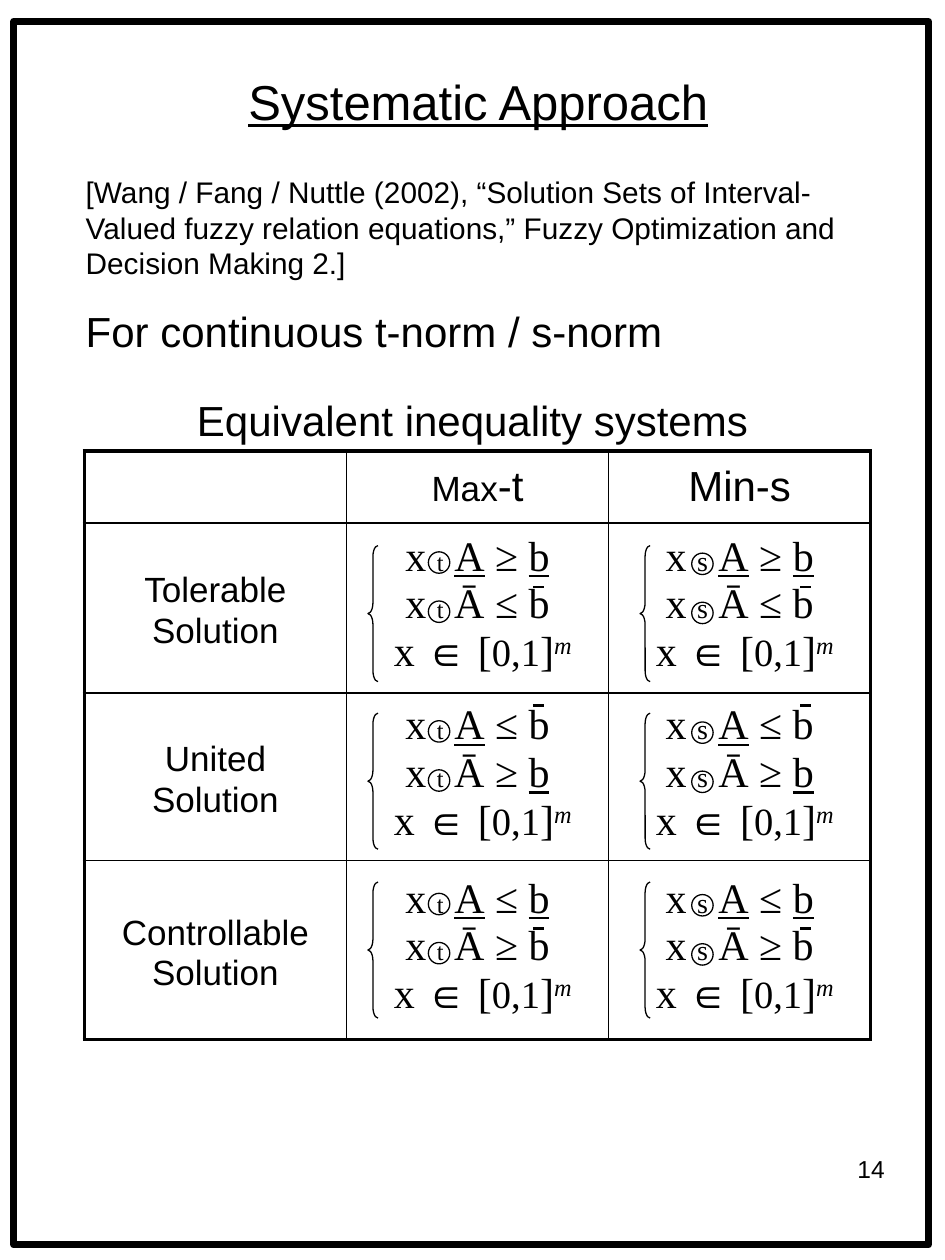
from lxml import etree
from pptx import Presentation
from pptx.dml.color import RGBColor
from pptx.enum.shapes import MSO_CONNECTOR, MSO_SHAPE
from pptx.enum.text import MSO_ANCHOR, PP_ALIGN
from pptx.oxml.ns import qn
from pptx.util import Inches, Pt

LEFT, CENTER, RIGHT = PP_ALIGN.LEFT, PP_ALIGN.CENTER, PP_ALIGN.RIGHT
TOP, MIDDLE = MSO_ANCHOR.TOP, MSO_ANCHOR.MIDDLE
RECTANGLE, OVAL, LEFT_BRACE = MSO_SHAPE.RECTANGLE, MSO_SHAPE.OVAL, MSO_SHAPE.LEFT_BRACE
STRAIGHT = MSO_CONNECTOR.STRAIGHT

COLORS = {"ink": "000000", "paper": "FFFFFF"}
SANS, SERIF = "Arial", "Times New Roman"
TABLE_LEFT, TABLE_TOP, COLUMN_WIDTH = 0.67, 3.58, 2.08
ROW_HEIGHTS = [0.57, 1.35, 1.33, 1.42]
THICK, THIN = 2.25, 1

SOLUTIONS = [
    {"name": "Tolerable", "relations": "≥≤", "lower_first": True,
     "brace": 4.33, "circle": 4.38, "bar": 4.66},
    {"name": "United", "relations": "≤≥", "lower_first": False,
     "brace": 5.66, "circle": 5.72, "bar": 5.6},
    {"name": "Controllable", "relations": "≤≥", "lower_first": True,
     "brace": 7.0, "circle": 7.09, "bar": 7.37},
]
NORMS = [
    {"symbol": "t", "size": 14, "brace": 2.92, "circle": 3.4, "bar": 4.23, "drop": 0},
    {"symbol": "s", "size": 16, "brace": 5.08, "circle": 5.49, "bar": 6.35, "drop": 0.01},
]


class SlideBuilder:
    """Holds the style and the current slide, and draws each kind of element."""

    def __init__(self, slide):
        self.slide = slide
        self.ink = RGBColor.from_string(COLORS["ink"])

    def fill_text(self, frame, paragraphs, font=SANS, **layout):
        for index, runs in enumerate(paragraphs):
            paragraph = frame.paragraphs[0] if index == 0 else frame.add_paragraph()
            for name, value in layout.items():
                setattr(paragraph, name, value)
            for text, size, *extra in runs:
                run = paragraph.add_run()
                run.text = text
                run.font.color.rgb = self.ink
                values = {"name": font, "size": Pt(size), **(extra[0] if extra else {})}
                baseline = values.pop("baseline", None)
                for name, value in values.items():
                    setattr(run.font, name, value)
                if baseline:
                    run._r.get_or_add_rPr().set("baseline", str(baseline))

    def text(self, box, paragraphs, anchor=TOP, indent=0.1, **layout):
        frame = self.slide.shapes.add_textbox(*map(Inches, box)).text_frame
        values = {"word_wrap": True, "vertical_anchor": anchor, "margin_left": Inches(indent)}
        for name, value in values.items():
            setattr(frame, name, value)
        self.fill_text(frame, paragraphs, **layout)
        return frame

    def shape(self, kind, box, width=0.75):
        shape = self.slide.shapes.add_shape(kind, *map(Inches, box))
        shape.shadow.inherit = False
        shape.fill.background()
        shape.line.color.rgb = self.ink
        shape.line.width = Pt(width)
        return shape

    def brace(self, left, top):
        self.shape(LEFT_BRACE, (left, top, 0.08, 1.08)).adjustments[0] = 1.08

    def overbar(self, left, top):
        ends = map(Inches, (left, top, left + 0.09, top))
        connector = self.slide.shapes.add_connector(STRAIGHT, *ends)
        connector.line.color.rgb = self.ink
        connector.line.width = Pt(1.5)
        etree.SubElement(connector._element.spPr, qn("a:effectLst"))

    def border(self, cell, widths):
        properties = cell._tc.get_or_add_tcPr()
        for index, (side, width) in enumerate(widths.items()):
            line = etree.Element(qn(f"a:ln{side}"), w=str(Pt(width)))
            fill = etree.SubElement(line, qn("a:solidFill"))
            etree.SubElement(fill, qn("a:srgbClr"), val=COLORS["ink"])
            properties.insert(index, line)

    def table(self, contents):
        rows, columns = len(contents), len(contents[0])
        box = (TABLE_LEFT, TABLE_TOP, columns * COLUMN_WIDTH, sum(ROW_HEIGHTS))
        table = self.slide.shapes.add_table(rows, columns, *map(Inches, box)).table
        table.first_row = table.horz_banding = False
        for column in table.columns:
            column.width = Inches(COLUMN_WIDTH)
        for row, height in zip(table.rows, ROW_HEIGHTS):
            row.height = Inches(height)
        for r, row in enumerate(contents):
            for c, (paragraphs, layout) in enumerate(row):
                cell = table.cell(r, c)
                cell.vertical_anchor = MIDDLE
                cell.fill.solid()
                cell.fill.fore_color.rgb = RGBColor.from_string(COLORS["paper"])
                self.fill_text(cell.text_frame, paragraphs, alignment=CENTER, **layout)
                edges = {"L": c == 0, "R": c == columns - 1, "T": r == 0, "B": r == rows - 1}
                self.border(cell, {side: THICK if outer else THIN for side, outer in edges.items()})


def inequalities(solution, norm):
    first, second = solution["relations"]
    lower_first = solution["lower_first"]
    start = [("x ", 24), (norm["symbol"], norm["size"]), (" ", 24)]
    return [
        start + [("A", 24, {"underline": True}), (f" {first} ", 24),
                 ("b", 24, {"underline": lower_first})],
        start + [(f"Ā {second} ", 24), ("b", 24, {"underline": not lower_first})],
        [(" x ", 24), ("∈", 24, {"name": SANS}), (" [", 24), ("0,1", 22), ("]", 24),
         ("m", 24, {"italic": True, "baseline": 30000})],
    ]


def main():
    presentation = Presentation()
    presentation.slide_width, presentation.slide_height = Inches(7.5), Inches(10)
    builder = SlideBuilder(presentation.slides.add_slide(presentation.slide_layouts[6]))

    builder.shape(RECTANGLE, (0.11, 0.17, 7.26, 9.71), 4)
    builder.text((0.42, 0.25, 6.75, 1.1), [[("Systematic Approach", 28, {"underline": True})]],
                 MIDDLE, alignment=CENTER)
    citation = ("[Wang / Fang / Nuttle (2002), “Solution Sets of Interval-Valued fuzzy relation "
                "equations,” Fuzzy Optimization and Decision Making 2.]")
    body = builder.text((0.33, 1.33, 6.62, 1.83),
                        [[(citation, 17)], [("For continuous t-norm / s-norm", 24)]],
                        indent=0.35, alignment=LEFT, space_before=Pt(4.2))
    body.paragraphs[1].space_before = Pt(14)
    builder.text((0, 3.08, 7.5, 0.5), [[("Equivalent inequality systems", 24)]], alignment=CENTER)

    heading = {"space_before": Pt(6)}
    label = {"space_before": Pt(5)}
    formula = {"font": SERIF, "line_spacing": 0.8, "space_before": Pt(6)}
    contents = [[([], {}), ([[("Max", 20), ("-t", 24)]], heading), ([[("Min-s", 24)]], heading)]]
    for solution in SOLUTIONS:
        name = [[(solution["name"], 20), (" ", 24), ("Solution", 20)]]
        contents.append([(name, label)]
                        + [(inequalities(solution, norm), formula) for norm in NORMS])
    builder.table(contents)

    for solution in SOLUTIONS:
        for norm in NORMS:
            builder.brace(norm["brace"], solution["brace"])
            builder.overbar(norm["bar"], solution["bar"])
            for offset in (0, 0.39):
                top = solution["circle"] + norm["drop"] + offset
                builder.shape(OVAL, (norm["circle"], top, 0.17, 0.17))

    builder.text((5.37, 9.11, 1.75, 0.69), [[("14", 14)]], alignment=RIGHT)
    presentation.save("out.pptx")


if __name__ == "__main__":
    main()
